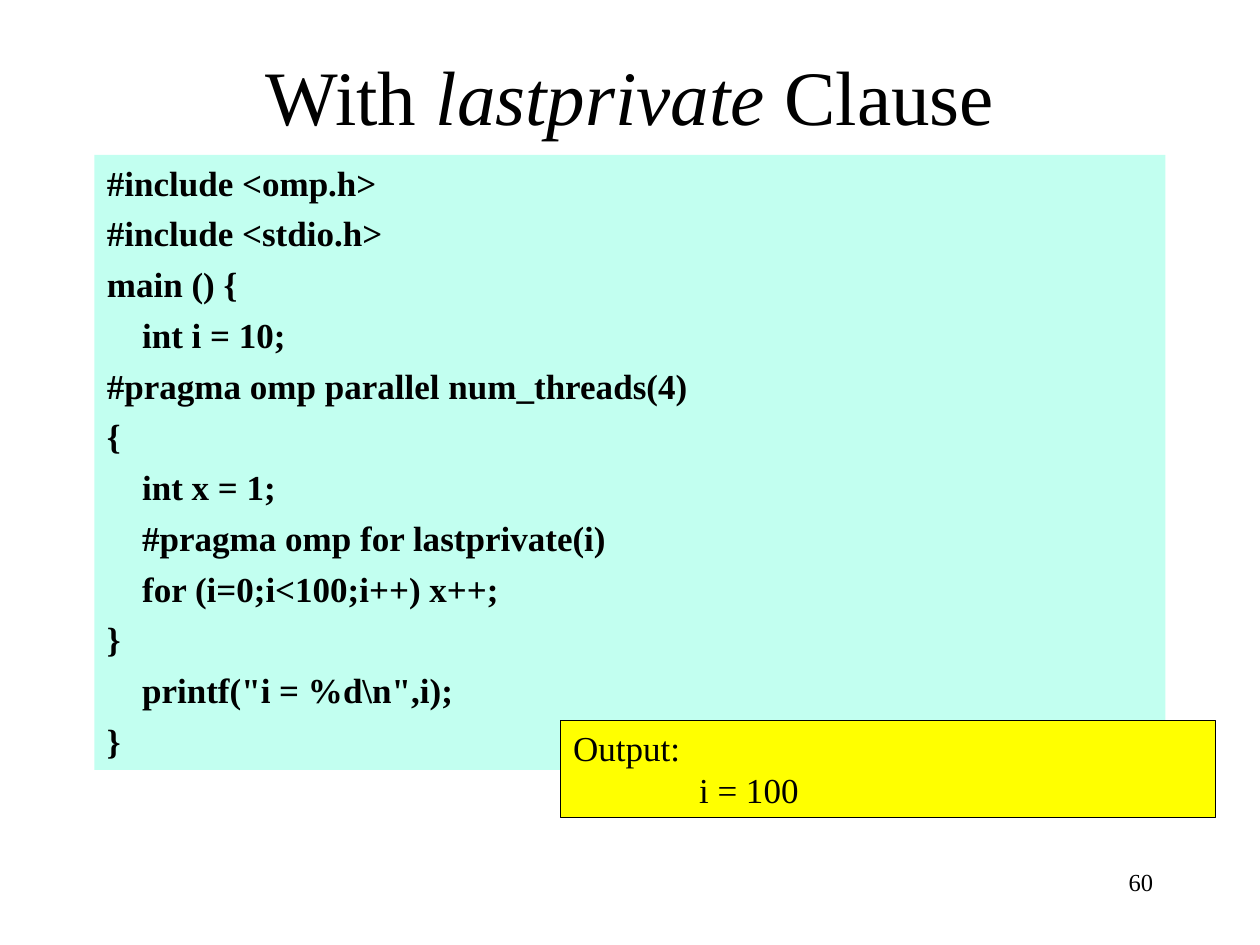
from pptx import Presentation
from pptx.dml.color import RGBColor
from pptx.enum.shapes import MSO_SHAPE
from pptx.enum.text import MSO_ANCHOR, PP_ALIGN
from pptx.util import Emu, Pt

FONT = "Times New Roman"
EMU_PER_PX = 9144  # 100 px to the inch
CODE_INDENT = 28
OUTPUT_INDENT = 100

# Each line of code: indent level, text
CODE_LINES = [
    (0, "#include <omp.h>"),
    (0, "#include <stdio.h>"),
    (0, "main () {"),
    (1, "int i = 10;"),
    (0, "#pragma omp parallel num_threads(4)"),
    (0, "{"),
    (1, "int x = 1;"),
    (1, "#pragma omp for lastprivate(i)"),
    (1, "for (i=0;i<100;i++) x++;"),
    (0, "}"),
    (1, "printf(\"i = %d\\n\",i);"),
    (0, "}"),
]


def px(length):
    return Emu(length * EMU_PER_PX)


def color(hex_string):
    return RGBColor.from_string(hex_string)


def add_run(paragraph, text, size=20, bold=False, italic=False, hex_color="000000"):
    run = paragraph.add_run()
    run.text = text
    font = run.font
    font.name, font.size = FONT, Pt(size)
    font.bold, font.italic = bold, italic
    font.color.rgb = color(hex_color)


def prepare_frame(shape, anchor=MSO_ANCHOR.TOP):
    text_frame = shape.text_frame
    text_frame.word_wrap = True
    text_frame.vertical_anchor = anchor
    return text_frame


def add_text_box(slide, box, anchor=MSO_ANCHOR.TOP):
    return prepare_frame(slide.shapes.add_textbox(*map(px, box)), anchor)


def add_panel(slide, box, fill, line=None):
    shape = slide.shapes.add_shape(MSO_SHAPE.RECTANGLE, *map(px, box))
    shape.shadow.inherit = False
    shape.fill.solid()
    shape.fill.fore_color.rgb = color(fill)
    if line:
        shape.line.color.rgb = color(line)
        shape.line.width = Pt(0.75)
    else:
        shape.line.fill.background()
    return prepare_frame(shape)


def add_lines(text_frame, lines, indent, space_before=0, **text_format):
    for number, (level, text) in enumerate(lines):
        paragraph = text_frame.add_paragraph() if number else text_frame.paragraphs[0]
        paragraph.alignment = PP_ALIGN.LEFT
        paragraph.space_before = Pt(space_before)
        properties = paragraph._p.get_or_add_pPr()
        properties.set("marL", str(px(level * indent)))
        properties.set("indent", "0")
        add_run(paragraph, text, **text_format)


def add_title(slide, box):
    paragraph = add_text_box(slide, box, MSO_ANCHOR.MIDDLE).paragraphs[0]
    paragraph.alignment = PP_ALIGN.CENTER
    add_run(paragraph, "With ", size=44)
    add_run(paragraph, "lastprivate", size=44, italic=True)
    add_run(paragraph, " Clause", size=44)


def add_code(slide, box):
    text_frame = add_panel(slide, box, "C2FFF0")
    add_lines(text_frame, CODE_LINES, CODE_INDENT, space_before=5, bold=True)


def add_output(slide, box):
    text_frame = add_panel(slide, box, "FFFF00", line="000000")
    add_lines(text_frame, [(0, "Output:"), (1, "i = 100")], OUTPUT_INDENT)


def add_page_number(slide, box):
    paragraph = add_text_box(slide, box).paragraphs[0]
    paragraph.alignment = PP_ALIGN.RIGHT
    add_run(paragraph, "60", size=14)


def main():
    presentation = Presentation()
    presentation.slide_width, presentation.slide_height = px(1000), px(750)
    slide = presentation.slides.add_slide(presentation.slide_layouts[6])
    add_title(slide, (75, 13, 850, 125))
    add_code(slide, (75, 123, 850, 488))
    add_page_number(slide, (717, 683, 208, 50))
    add_output(slide, (445, 572, 520, 77))
    presentation.save("out.pptx")


if __name__ == "__main__":
    main()
